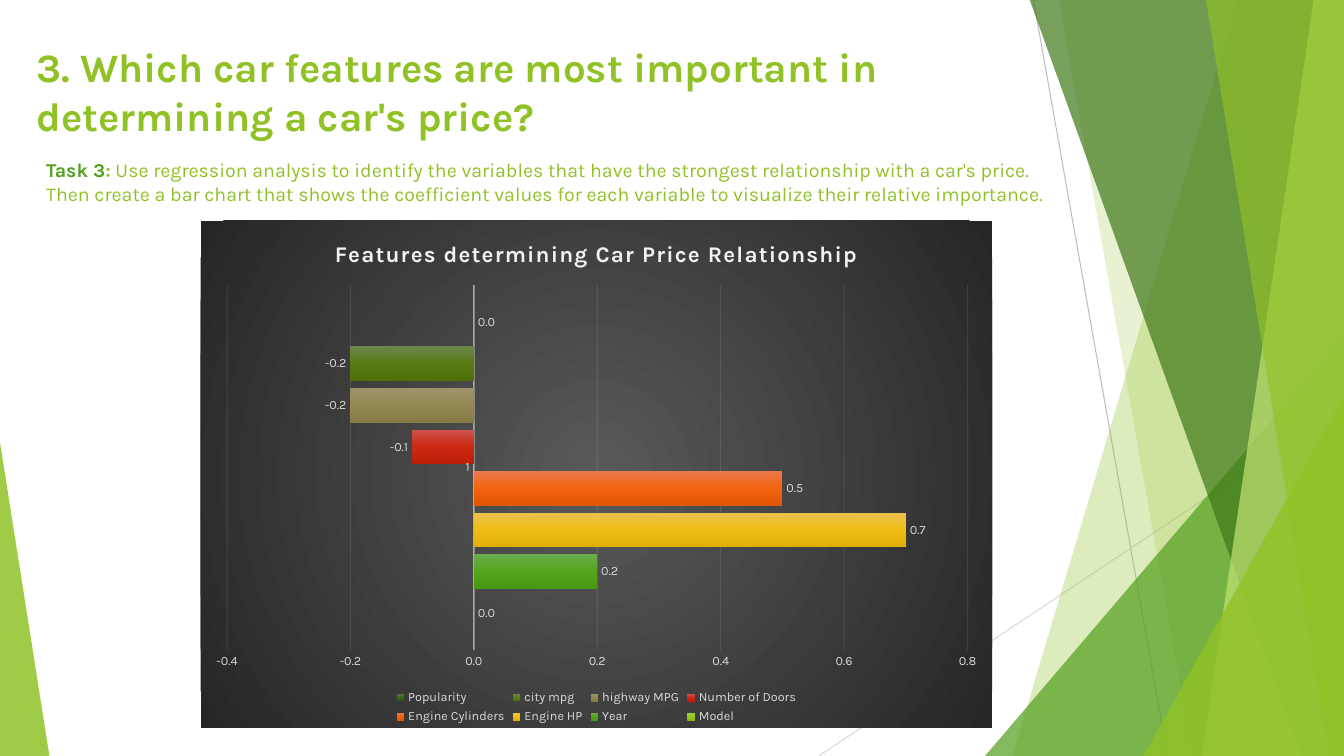
from lxml import etree
from pptx import Presentation
from pptx import util as u
from pptx.chart.data import CategoryChartData
from pptx.dml.color import RGBColor
from pptx.enum import chart as c
from pptx.enum import shapes, text
from pptx.oxml import parse_xml
from pptx.oxml.ns import nsdecls, qn

LIME = RGBColor(0x90, 0xC2, 0x26)
GREEN = RGBColor(0x54, 0xA0, 0x21)
FOREST = RGBColor(0x3F, 0x78, 0x19)
PALE_LIME = RGBColor(0xC0, 0xE4, 0x74)
GREY = RGBColor(0xBF, 0xBF, 0xBF)
LIGHT_GREY = RGBColor(0xD9, 0xD9, 0xD9)
OFF_WHITE = RGBColor(0xF2, 0xF2, 0xF2)
FONT = "Karla"


def fade(element, percent):
    for color in element.iter(qn("a:srgbClr")):
        etree.SubElement(color, qn("a:alpha"), val=str(percent * 1000))


def gradient(colors, direction):
    stops = "".join(
        f'<a:gs pos="{100000 * i // (len(colors) - 1)}"><a:srgbClr val="{color}"/></a:gs>'
        for i, color in enumerate(colors))
    return f'<a:gradFill {nsdecls("a")}><a:gsLst>{stops}</a:gsLst>{direction}</a:gradFill>'


presentation = Presentation()
presentation.slide_width = u.Inches(13.33)
presentation.slide_height = u.Inches(7.5)
slide = presentation.slides.add_slide(presentation.slide_layouts[5])

for x1, y1, x2, y2, color in [(10.25, 0, 11.58, 7.5, GREY), (13.33, 4.03, 8.12, 7.5, LIGHT_GREY)]:
    line = slide.shapes.add_connector(
        shapes.MSO_CONNECTOR.STRAIGHT, *[u.Inches(n) for n in (x1, y1, x2, y2)])
    line.line.color.rgb = color
    line.line.width = u.Pt(0.75)
    etree.SubElement(line._element.spPr, qn("a:effectLst"))

bands = [
    ("band", 12.28, 10.04, LIME, 30),
    ("band", 10.5, 11.83, LIME, 20),
    ("triangle", (9.77, 3.33, 3.56, 4.17), 1, GREEN, 72),
    ("band", 10.21, 12.91, FOREST, 70),
    ("band", 13.03, 11.92, PALE_LIME, 70),
    ("band", 11.96, 13.18, LIME, 65),
    ("triangle", (11.34, 3.93, 1.99, 3.57), 1, LIME, 80),
    ("triangle", (0, 4.39, 0.49, 3.11), 0, LIME, 85),
]
for kind, start, end, color, opacity in bands:
    if kind == "band":
        corners = [(u.Inches(x), u.Inches(y))
                   for x, y in [(start, -0.01), (13.33, -0.01), (13.33, 7.5), (end, 7.5)]]
        outline = slide.shapes.build_freeform(*corners[0])
        outline.add_line_segments(corners[1:])
        shape = outline.convert_to_shape()
    else:
        shape = slide.shapes.add_shape(
            shapes.MSO_SHAPE.ISOSCELES_TRIANGLE, *[u.Inches(n) for n in start])
        shape.adjustments[0] = end
    shape.shadow.inherit = False
    shape.fill.solid()
    shape.fill.fore_color.rgb = color
    shape.line.fill.background()
    fade(shape._element.spPr, opacity)

title = slide.shapes.title
slide.shapes._spTree.append(title._element)
title.left, title.top, title.width, title.height = [u.Inches(n) for n in (0.26, 0.38, 10.2, 1.04)]
title.text_frame.text = "3. Which car features are most important in determining a car's price?"
title.text_frame.vertical_anchor = text.MSO_ANCHOR.MIDDLE
paragraph = title.text_frame.paragraphs[0]
paragraph.alignment = text.PP_ALIGN.LEFT
font = paragraph.runs[0].font
font.name, font.size, font.bold = FONT, u.Pt(28.8), True
font.color.rgb = LIME

task = slide.shapes.add_textbox(*[u.Inches(n) for n in (0.36, 1.52, 10.25, 0.81)])
task.text_frame.word_wrap = True
for words, color, bold in [
    ("Task 3", GREEN, True),
    (":", LIME, True),
    (" Use regression analysis to identify the variables that have the strongest relationship "
     "with a car's price. Then create a bar chart that shows the coefficient values for each "
     "variable to visualize their relative importance.", LIME, False),
]:
    run = task.text_frame.paragraphs[0].add_run()
    run.text = words
    run.font.name, run.font.size, run.font.bold = FONT, u.Pt(14), bold
    run.font.color.rgb = color

features = [
    ("Model", 0, ("9DCC51", "93CA1E", "85BA14")),
    ("Year", 0.2, ("6BAC4F", "53A61B", "489912")),
    ("Engine HP", 0.7, ("EBC14F", "F0BE14", "E0AF07")),
    ("Engine Cylinders", 0.5, ("EC794E", "F1630E", "E05603")),
    ("Number of Doors", -0.1, ("CE544D", "CC2911", "BD1E08")),
    ("highway MPG", -0.2, ("9E946B", "948852", "867A46")),
    ("city mpg", -0.2, ("6D864D", "587912", "50700C")),
    ("Popularity", 0, ("57754C", "326410", "2B5C0B")),
]
data = CategoryChartData(number_format="0.0")
data.categories = ["1"]
for name, coefficient, colors in features:
    data.add_series(name, [coefficient])
chart = slide.shapes.add_chart(
    c.XL_CHART_TYPE.BAR_CLUSTERED, *[u.Inches(n) for n in (1.99, 2.19, 7.85, 5.03)], data).chart
chart.font.name = FONT
chart.font.size = u.Pt(10)

center = '<a:path path="circle"><a:fillToRect l="50000" t="50000" r="50000" b="50000"/></a:path>'
chart._chartSpace.find(qn("c:chart")).addnext(parse_xml(
    f'<c:spPr {nsdecls("c", "a")}>{gradient(("595959", "262626"), center)}'
    '<a:ln><a:noFill/></a:ln></c:spPr>'))

chart.has_title = True
chart.chart_title.text_frame.text = "Features determining Car Price Relationship"
run = chart.chart_title.text_frame.paragraphs[0].runs[0]
run.font.name, run.font.size, run.font.bold = FONT, u.Pt(16), True
run.font.color.rgb = OFF_WHITE
run._r.get_or_add_rPr().set("spc", "100")

plot = chart.plots[0]
plot.gap_width = 115
plot.overlap = -20
plot.vary_by_categories = False
chart.has_legend = True
chart.legend.position = c.XL_LEGEND_POSITION.BOTTOM
chart.legend.include_in_layout = False

category_axis, value_axis = chart.category_axis, chart.value_axis
value_axis.minimum_scale = -0.4
value_axis.maximum_scale = 0.8
value_axis.major_unit = 0.2
value_axis.has_major_gridlines = True
value_axis.tick_labels.number_format = "0.0"
value_axis.tick_labels.number_format_is_linked = False
value_axis.format.line.fill.background()
for axis, line, width, opacity in [
    (category_axis, category_axis.format.line, 1, 54),
    (value_axis, value_axis.major_gridlines.format.line, 0.75, 10),
]:
    axis.major_tick_mark = c.XL_TICK_MARK.NONE
    line.color.rgb = OFF_WHITE
    line.width = u.Pt(width)
    fade(axis._element, opacity)

small_fonts = [chart.legend.font, category_axis.tick_labels.font, value_axis.tick_labels.font]
for series, (name, coefficient, colors) in zip(plot.series, features):
    series.invert_if_negative = False
    series._element.get_or_add_spPr().insert(
        0, parse_xml(gradient(colors, '<a:lin ang="5400000" scaled="0"/>')))
    labels = series.data_labels
    labels.show_value = True
    labels.position = c.XL_LABEL_POSITION.OUTSIDE_END
    labels.number_format = "0.0"
    labels.number_format_is_linked = False
    small_fonts.append(labels.font)
for font in small_fonts:
    font.name, font.size = FONT, u.Pt(9)
    font.color.rgb = LIGHT_GREY

presentation.save("out.pptx")
